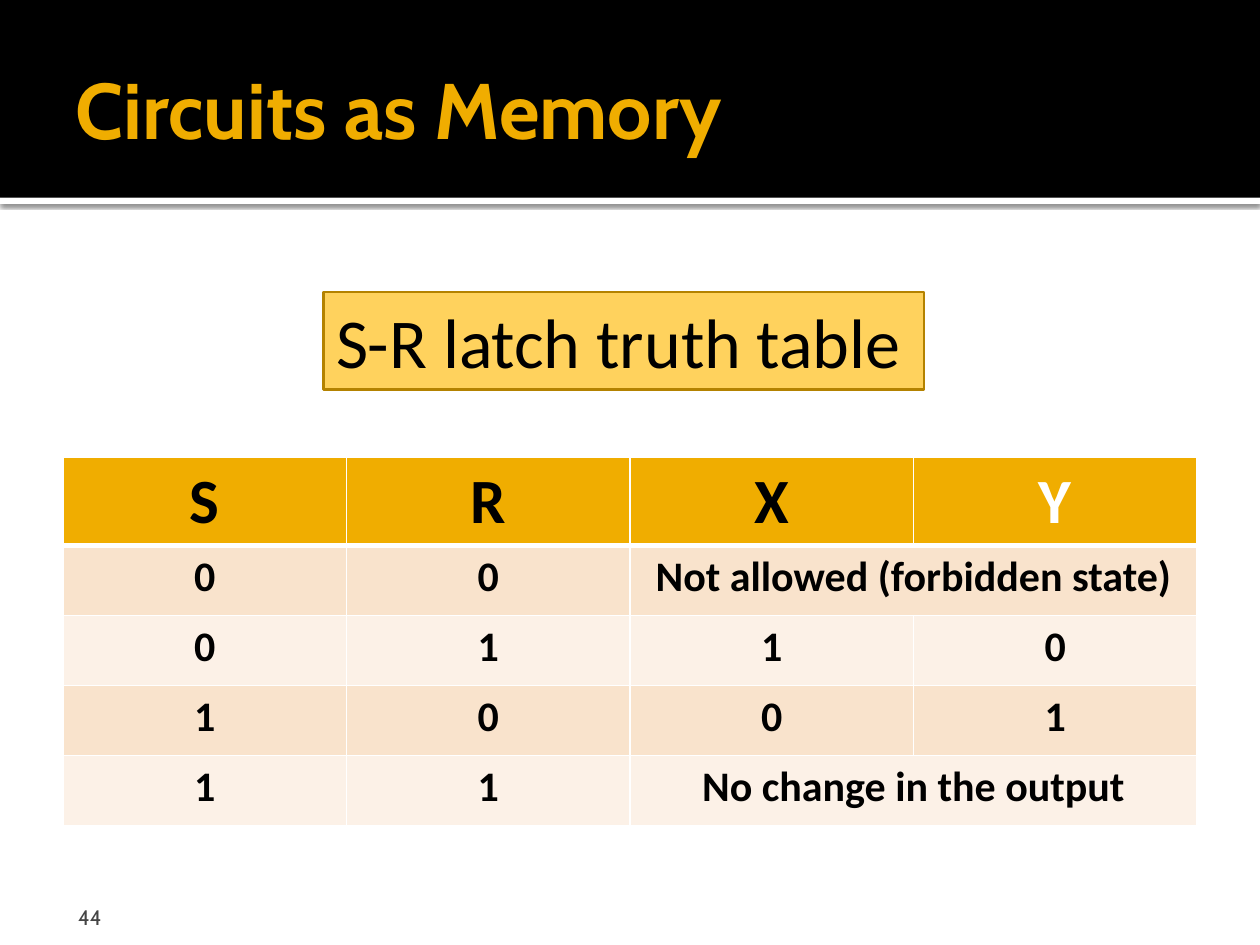
from dataclasses import dataclass

import pptx
import pptx.dml.color
import pptx.enum.shapes
import pptx.enum.text
import pptx.oxml
import pptx.util
from pptx.dml.color import RGBColor
from pptx.util import Pt

BLACK = RGBColor(0x00, 0x00, 0x00)
WHITE = RGBColor(0xFF, 0xFF, 0xFF)
GOLD = RGBColor(0xF0, 0xAD, 0x00)
LIGHT_GOLD = RGBColor(0xFF, 0xD2, 0x5D)
DARK_GOLD = RGBColor(0xB4, 0x82, 0x00)
BANDS = (RGBColor(0xF9, 0xE3, 0xCC), RGBColor(0xFC, 0xF1, 0xE7))
GREY = RGBColor(0x45, 0x45, 0x45)

A_NS = 'xmlns:a="http://schemas.openxmlformats.org/drawingml/2006/main"'
ANCHOR = pptx.enum.text.MSO_ANCHOR
CENTER = pptx.enum.text.PP_ALIGN.CENTER

HEADERS = ("S", "R", "X", "Y")
# A row of three texts has its last one spanning the X and Y columns.
STATES = (
    ("0", "0", "Not allowed (forbidden state)"),
    ("0", "1", "1", "0"),
    ("1", "0", "0", "1"),
    ("1", "1", "No change in the output"),
)
COLUMN_WIDTH, HEADER_HEIGHT, STATE_HEIGHT = 162, 50.4, 40


@dataclass(frozen=True)
class Box:
    left: float
    top: float
    width: float
    height: float

    def emu(self) -> tuple:
        return tuple(Pt(v) for v in (self.left, self.top, self.width, self.height))


@dataclass(frozen=True)
class Style:
    font: str
    size: float
    color: RGBColor
    bold: bool = False


def set_text(tf, text: str, style: Style, align=None) -> None:
    tf.text = text
    p = tf.paragraphs[0]
    p.alignment = align
    for r in p.runs:
        r.font.name = style.font
        r.font.size = Pt(style.size)
        r.font.bold = style.bold
        r.font.color.rgb = style.color


def add_rect(s, box: Box, fill: RGBColor):
    sp = s.shapes.add_shape(pptx.enum.shapes.MSO_SHAPE.RECTANGLE, *box.emu())
    sp.shadow.inherit = False
    sp.fill.solid()
    sp.fill.fore_color.rgb = fill
    sp.line.fill.background()
    return sp


def add_shadow(sp) -> None:
    effects = sp._element.spPr.find(pptx.oxml.ns.qn("a:effectLst"))
    effects.append(pptx.oxml.parse_xml(
        f'<a:outerShdw {A_NS} blurRad="{Pt(2.5)}" dist="{Pt(0.8)}" dir="5400000"'
        ' algn="t" rotWithShape="0"><a:srgbClr val="000000">'
        '<a:alpha val="60000"/></a:srgbClr></a:outerShdw>'))


def add_label(s, box: Box, text: str, style: Style, anchor, insets: tuple) -> None:
    """Add a text box; insets run left, top, right, bottom."""
    tf = s.shapes.add_textbox(*box.emu()).text_frame
    tf.word_wrap = True
    tf.vertical_anchor = anchor
    tf.margin_left, tf.margin_top, tf.margin_right, tf.margin_bottom = map(Pt, insets)
    set_text(tf, text, style)


def set_borders(cell, bottom: float = 1, top: float = 1) -> None:
    tcPr = cell._tc.get_or_add_tcPr()
    widths = {"lnL": 1, "lnR": 1, "lnT": top, "lnB": bottom}
    for i, (tag, width) in enumerate(widths.items()):
        tcPr.insert(i, pptx.oxml.parse_xml(
            f'<a:{tag} {A_NS} w="{Pt(width)}"><a:solidFill>'
            f'<a:srgbClr val="{WHITE}"/></a:solidFill></a:{tag}>'))


def add_truth_table(s, left: float, top: float) -> None:
    rows, cols = len(STATES) + 1, len(HEADERS)
    box = Box(left, top, cols * COLUMN_WIDTH, HEADER_HEIGHT + len(STATES) * STATE_HEIGHT)
    table = s.shapes.add_table(rows, cols, *box.emu()).table
    for column in table.columns:
        column.width = Pt(COLUMN_WIDTH)
    for i, texts in enumerate((HEADERS, *STATES)):
        header = i == 0
        table.rows[i].height = Pt(HEADER_HEIGHT if header else STATE_HEIGHT)
        for j in range(cols):
            cell = table.cell(i, j)
            cell.fill.solid()
            cell.fill.fore_color.rgb = GOLD if header else BANDS[(i - 1) % 2]
            set_borders(cell, bottom=3 if header else 1, top=3 if i == 1 else 1)
        if len(texts) < cols:
            table.cell(i, len(texts) - 1).merge(table.cell(i, cols - 1))
        for j, text in enumerate(texts):
            color = WHITE if text == "Y" else BLACK
            style = Style("Calibri", 36 if header else 24, color, bold=True)
            set_text(table.cell(i, j).text_frame, text, style, CENTER)


def add_caption(s) -> None:
    sp = add_rect(s, Box(185, 167, 343, 55.5), LIGHT_GOLD)
    sp.line.color.rgb = DARK_GOLD
    sp.line.width = Pt(1.5)
    tf = sp.text_frame
    tf.vertical_anchor = ANCHOR.TOP
    set_text(tf, "S-R latch truth table", Style("Calibri", 40, BLACK),
             pptx.enum.text.PP_ALIGN.LEFT)


def main() -> None:
    prs = pptx.Presentation()
    prs.slide_width, prs.slide_height = Pt(720), Pt(540)
    s = prs.slides.add_slide(prs.slide_layouts[6])

    add_shadow(add_rect(s, Box(0, 113, 720, 3.6), WHITE))
    add_rect(s, Box(0, 0, 720, 113), BLACK)
    add_label(s, Box(36, 509.8, 168, 21.6), "44", Style("Cabin", 12, GREY),
              ANCHOR.BOTTOM, (8.64, 3.6, 3.6, 0))
    add_label(s, Box(36, 12.2, 648, 98.6), "Circuits as Memory",
              Style("Cabin", 45, GOLD, bold=True), ANCHOR.MIDDLE, (7.2, 3.6, 3.6, 3.6))
    add_truth_table(s, 36, 261.4)
    add_caption(s)

    prs.save("out.pptx")


if __name__ == "__main__":
    main()
